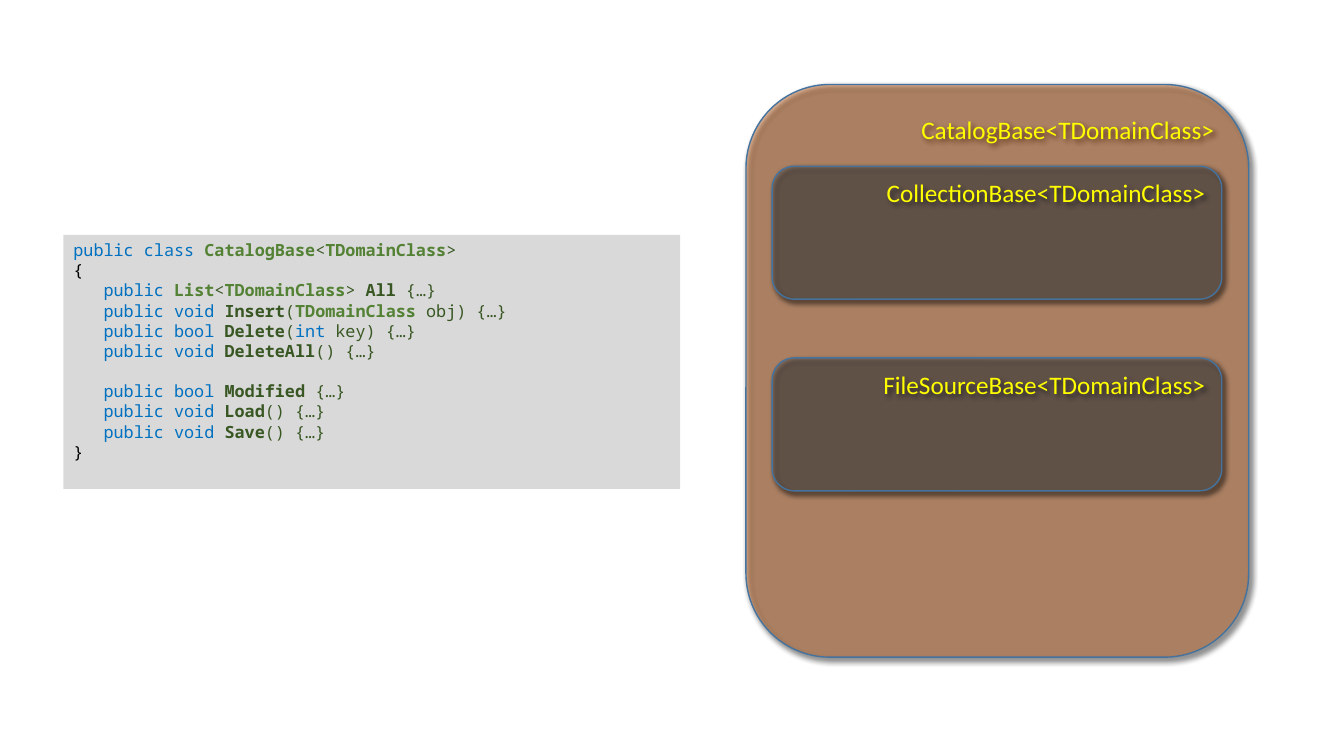
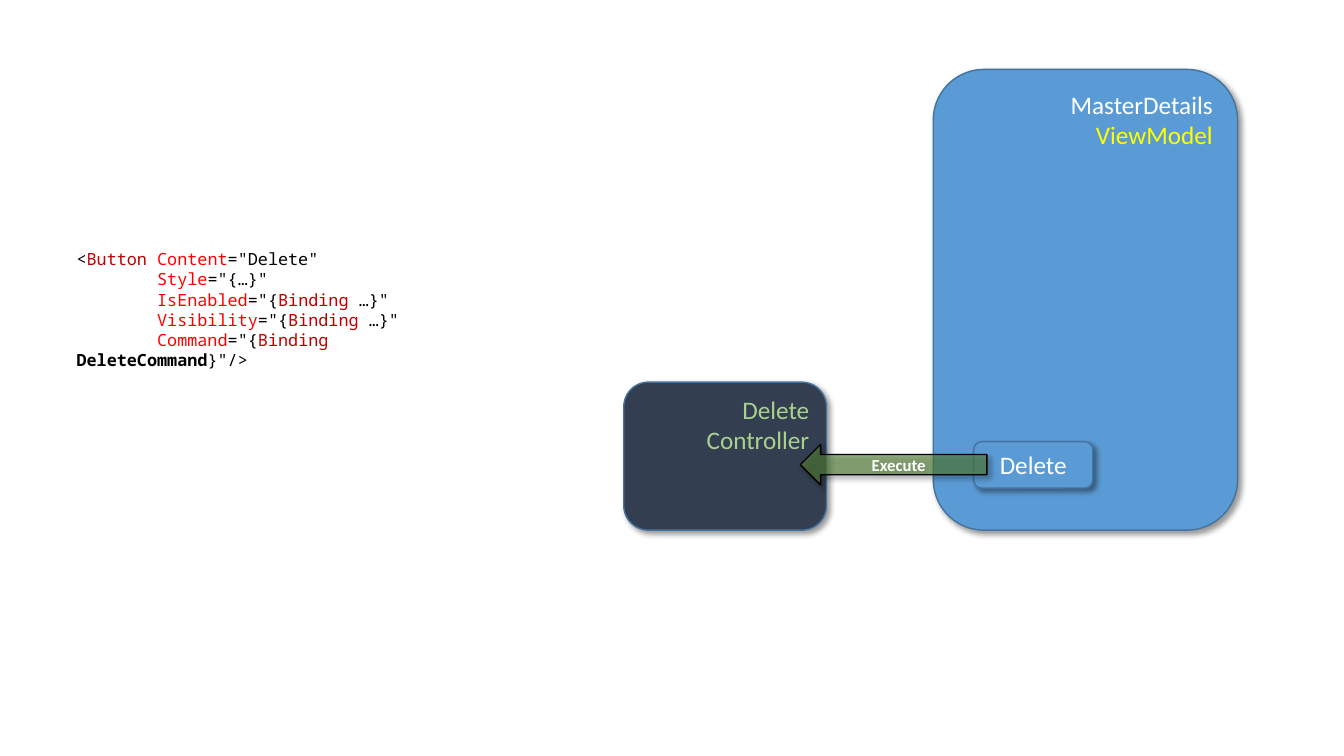
from dataclasses import dataclass
from typing import NamedTuple

from lxml.etree import SubElement
from pptx import Presentation
from pptx.dml.color import RGBColor
from pptx.enum.shapes import MSO_SHAPE as Preset
from pptx.enum.text import MSO_ANCHOR as Anchor, MSO_AUTO_SIZE as AutoSize, PP_ALIGN as Align
from pptx.oxml.ns import qn
from pptx.util import Cm, Pt


@dataclass(frozen=True)
class Theme:
    label_font: str = "Calibri"
    code_font: str = "Noto Sans Mono"
    label_size: int = 18
    small_size: int = 12
    line_width: int = 1
    code_gap: float = 14.4
    black: str = "000000"
    white: str = "FFFFFF"
    yellow: str = "FFFF00"
    outline: str = "43739E"
    brown: str = "C55A11"
    grey: str = "595959"
    blue: str = "5B9BD5"
    navy: str = "333F50"
    light_green: str = "A9D18E"
    green: str = "548235"
    dark_green: str = "385723"
    code_panel: str = "D9D9D9"
    keyword: str = "0070C0"
    element: str = "C00000"
    attribute: str = "FF0000"


THEME = Theme()


class Run(NamedTuple):
    text: str
    color: str
    bold: bool = False


class Area(NamedTuple):
    """Left, top, width and height in centimetres."""
    left: float
    top: float
    width: float
    height: float

    def lengths(self) -> list:
        return [Cm(value) for value in self]


@dataclass(frozen=True)
class Box:
    area: Area
    fill: str
    lines: tuple
    opacity: int = 100
    preset: Preset = Preset.ROUNDED_RECTANGLE
    outline: str = THEME.outline
    size: int = THEME.label_size
    align: Align = Align.RIGHT
    anchor: Anchor = Anchor.TOP


@dataclass(frozen=True)
class CodeLine:
    runs: tuple
    gap_before: bool = False


def keyword(text: str) -> Run:
    return Run(text, THEME.keyword)


def type_name(text: str) -> Run:
    return Run(text, THEME.green, True)


def member(text: str) -> Run:
    return Run(text, THEME.dark_green, True)


def detail(text: str) -> Run:
    return Run(text, THEME.dark_green)


def plain(text: str) -> Run:
    return Run(text, THEME.black)


def element(text: str) -> Run:
    return Run(text, THEME.element)


def attribute(text: str) -> Run:
    return Run(text, THEME.attribute)


def code(*runs: Run, gap_before: bool = False) -> CodeLine:
    return CodeLine(runs, gap_before)


def set_values(target, values: dict) -> None:
    for name, value in values.items():
        setattr(target, name, value)


def add_runs(paragraph, runs: tuple, font_name: str, size: int) -> None:
    for item in runs:
        run = paragraph.add_run()
        run.text = item.text
        set_values(run.font, {"name": font_name, "size": Pt(size), "bold": item.bold})
        run.font.color.rgb = RGBColor.from_string(item.color)


def paragraph_at(frame, index: int):
    return frame.add_paragraph() if index else frame.paragraphs[0]


def set_fill(shape, color: str, opacity: int = 100) -> None:
    shape.fill.solid()
    shape.fill.fore_color.rgb = RGBColor.from_string(color)
    if opacity < 100:
        color_node = shape.fill._xPr.find(qn("a:solidFill"))[0]
        SubElement(color_node, qn("a:alpha"), val=str(opacity * 1000))


def add_shadow(shape) -> None:
    shape.shadow.inherit = False
    effects = shape._element.spPr.find(qn("a:effectLst"))
    shadow = SubElement(effects, qn("a:outerShdw"), blurRad=str(Pt(4)), dist=str(Pt(3)),
                        dir=str(45 * 60000), algn="tl", rotWithShape="0")
    color_node = SubElement(shadow, qn("a:srgbClr"), val=THEME.black)
    SubElement(color_node, qn("a:alpha"), val="40000")


def add_box(slide, box: Box) -> None:
    shape = slide.shapes.add_shape(box.preset, *box.area.lengths())
    set_fill(shape, box.fill, box.opacity)
    shape.line.color.rgb = RGBColor.from_string(box.outline)
    shape.line.width = Pt(THEME.line_width)
    add_shadow(shape)
    frame = shape.text_frame
    set_values(frame, {"word_wrap": True, "vertical_anchor": box.anchor})
    for index, run in enumerate(box.lines):
        paragraph = paragraph_at(frame, index)
        paragraph.alignment = box.align
        add_runs(paragraph, (run,), THEME.label_font, box.size)


def add_code(slide, area: Area, lines: tuple, fill: str = "") -> None:
    text_box = slide.shapes.add_textbox(*area.lengths())
    if fill:
        set_fill(text_box, fill)
    frame = text_box.text_frame
    set_values(frame, {"word_wrap": True, "auto_size": AutoSize.NONE})
    for index, line in enumerate(lines):
        paragraph = paragraph_at(frame, index)
        if line.gap_before:
            paragraph.space_before = Pt(THEME.code_gap)
        add_runs(paragraph, line.runs, THEME.code_font, THEME.small_size)


CATALOG_CODE = (
    code(keyword("public class "), type_name("CatalogBase"), detail("<"),
         type_name("TDomainClass"), detail(">")),
    code(plain("{")),
    code(keyword("   public "), type_name("List"), detail("<"), type_name("TDomainClass"),
         detail(">"), member(" All "), detail("{…}")),
    code(keyword("   public void "), member("Insert"), detail("("),
         type_name("TDomainClass"), detail(" obj) {…}")),
    code(keyword("   public bool "), member("Delete"), detail("("), keyword("int"),
         detail(" key) {…}")),
    code(keyword("   public void "), member("DeleteAll"), detail("() {…}")),
    code(keyword("   public bool "), member("Modified "), detail("{…}"), gap_before=True),
    code(keyword("   public void "), member("Load"), detail("() {…}")),
    code(keyword("   public void "), member("Save"), detail("() {…}")),
    code(plain("}")),
)

BUTTON_CODE = (
    code(plain("<"), element("Button "), attribute("Content"), plain('="Delete"')),
    code(attribute("        Style"), plain('="{…}"')),
    code(attribute("        IsEnabled"), plain('="{'), element("Binding "), plain('…}"')),
    code(attribute("        Visibility"), plain('="{'), element("Binding"), plain(' …}"')),
    code(attribute("        Command"), plain('="{'), element("Binding "),
         Run("DeleteCommand", THEME.black, True), plain('}"/>')),
)


def build_catalog_slide(slide) -> None:
    add_box(slide, Box(Area(18.8, 2.13, 12.67, 14.43), THEME.brown,
                       (Run("CatalogBase<TDomainClass>", THEME.yellow),), opacity=40))
    for row, name in enumerate(("CollectionBase", "FileSourceBase")):
        add_box(slide, Box(Area(19.46, 4.19 + row * 4.83, 11.33, 3.35), THEME.grey,
                           (Run(f"{name}<TDomainClass>", THEME.yellow),), opacity=40))
    add_code(slide, Area(1.6, 5.92, 15.54, 6.4), CATALOG_CODE, THEME.code_panel)


def build_delete_slide(slide) -> None:
    add_box(slide, Box(Area(23.52, 1.75, 7.67, 11.61), THEME.blue,
                       (Run("MasterDetails", THEME.white), Run("ViewModel", THEME.yellow))))
    add_box(slide, Box(Area(24.54, 11.13, 3, 1.17), THEME.blue,
                       (Run("Delete", THEME.white),), align=Align.CENTER, anchor=Anchor.MIDDLE))
    add_code(slide, Area(1.68, 6.15, 11.05, 2.82), BUTTON_CODE)
    add_box(slide, Box(Area(15.72, 9.63, 5.11, 3.73), THEME.navy,
                       (Run("Delete", THEME.light_green), Run("Controller", THEME.light_green))))
    add_box(slide, Box(Area(20.17, 11.2, 4.7, 1.02), THEME.green,
                       (Run("Execute", THEME.white, True),), opacity=60,
                       preset=Preset.LEFT_ARROW, outline=THEME.black, size=THEME.small_size,
                       align=Align.CENTER, anchor=Anchor.MIDDLE))


def main() -> None:
    presentation = Presentation()
    set_values(presentation, {"slide_width": Cm(33.87), "slide_height": Cm(19.05)})
    blank_layout = presentation.slide_layouts[6]
    for build in (build_catalog_slide, build_delete_slide):
        build(presentation.slides.add_slide(blank_layout))
    presentation.save("out.pptx")


if __name__ == "__main__":
    main()
